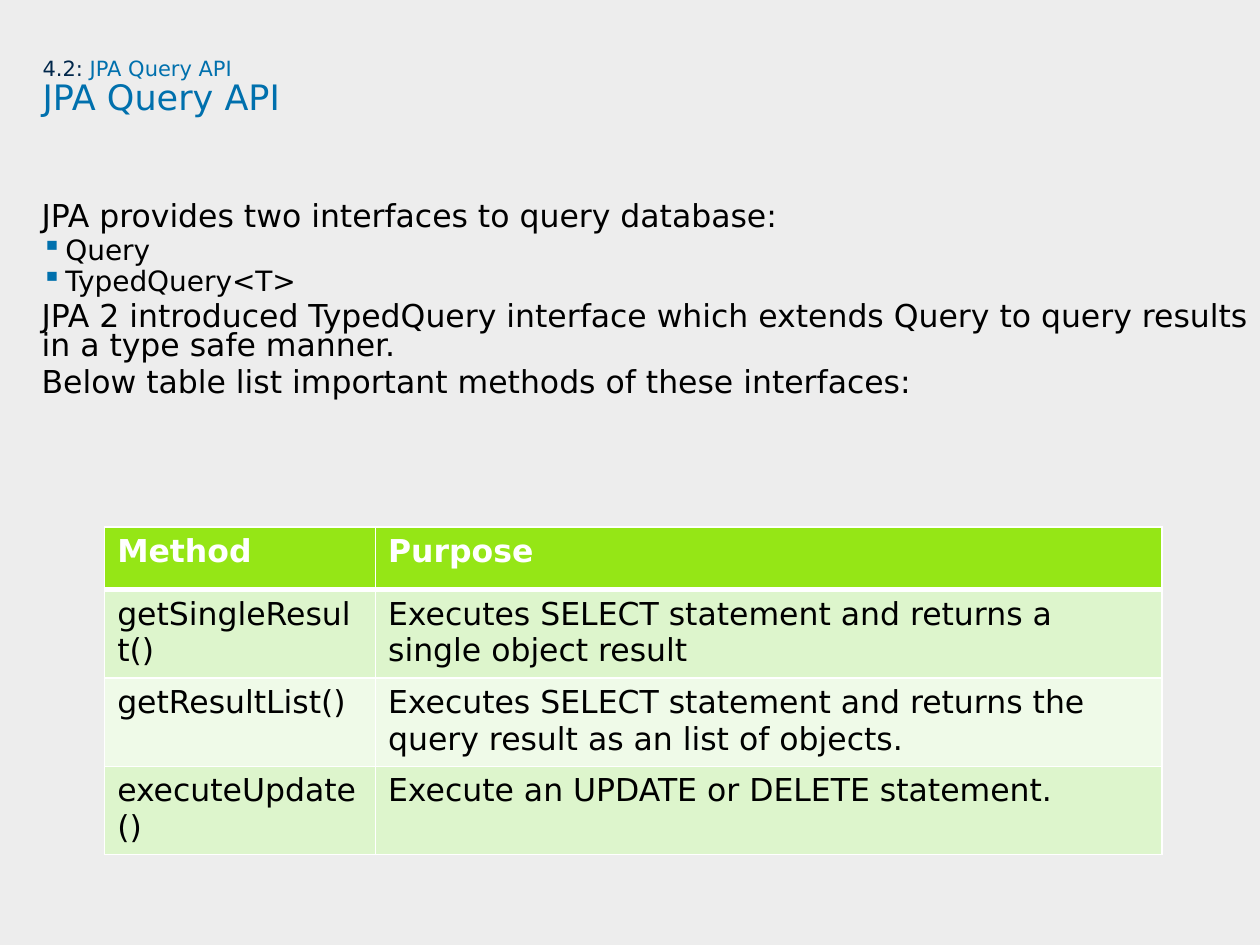
from lxml import etree
from pptx import Presentation
from pptx import util as u
from pptx.dml.color import RGBColor
from pptx.enum import text
from pptx.oxml.ns import qn

FONT = "DejaVu Sans"
BACKGROUND = RGBColor(0xED, 0xED, 0xED)
NAVY = RGBColor(0x00, 0x26, 0x4A)
BLUE = RGBColor(0x00, 0x70, 0xAD)
BLACK = RGBColor(0x00, 0x00, 0x00)
WHITE = RGBColor(0xFF, 0xFF, 0xFF)
HEADER_GREEN = RGBColor(0x95, 0xE6, 0x16)
BAND_GREENS = [RGBColor(0xEF, 0xFA, 0xE8), RGBColor(0xDD, 0xF5, 0xCC)]


def add_text_frame(left, top, width, height):
    """Add a wrapping text box without insets and return its text frame."""
    box = slide.shapes.add_textbox(u.Cm(left), u.Cm(top), u.Cm(width), u.Cm(height))
    frame = box.text_frame
    frame.word_wrap = True
    frame.vertical_anchor = text.MSO_ANCHOR.TOP
    frame.margin_left = frame.margin_top = frame.margin_right = frame.margin_bottom = 0
    return frame


def format_font(font, size, color, bold=False):
    font.name = FONT
    font.size = u.Pt(size)
    font.color.rgb = color
    font.bold = bold


presentation = Presentation()
presentation.slide_width = u.Cm(25.4)
presentation.slide_height = u.Cm(19.05)
slide = presentation.slides.add_slide(presentation.slide_layouts[6])
slide.background.fill.solid()
slide.background.fill.fore_color.rgb = BACKGROUND

# Title: section number and name above the slide heading
title = add_text_frame(0.86, 1.17, 23.09, 2.39).paragraphs[0]
title.line_spacing = 0.9
title.text = "4.2: "
title.add_run().text = "JPA Query API"
title.add_line_break()
title.add_run().text = "JPA Query API"
for run, size, color in zip(title.runs, [12, 12, 20], [NAVY, BLUE, BLUE]):
    format_font(run.font, size, color)

# Body: plain statements and bulleted interface names
BODY = [
    ("JPA provides two interfaces to query database:", False),
    ("Query", True),
    ("TypedQuery<T>", True),
    ("JPA 2 introduced TypedQuery interface which extends Query to query results "
     "in a type safe manner.", False),
    ("Below table list important methods of these interfaces:", False),
]
body = add_text_frame(0.84, 4.14, 24.56, 12.9)
for index, (line, bulleted) in enumerate(BODY):
    paragraph = body.add_paragraph() if index else body.paragraphs[0]
    paragraph.text = line
    paragraph.line_spacing = u.Pt(13.5 if bulleted else 16.5)
    paragraph.space_after = u.Pt(4.5)
    if bulleted:
        paragraph.level = 1
        properties = paragraph._p.get_or_add_pPr()
        properties.set("marL", str(u.Cm(0.48)))
        properties.set("indent", str(-u.Cm(0.48)))
        bullet_color = etree.SubElement(properties, qn("a:buClr"))
        etree.SubElement(bullet_color, qn("a:srgbClr"), val=str(BLUE))
        etree.SubElement(properties, qn("a:buChar"), char="▪")
    format_font(paragraph.runs[0].font, 16 if bulleted else 18, BLACK)

# Table of query methods
METHODS = [
    ("Method", "Purpose"),
    ("getSingleResult()", "Executes SELECT statement and returns a single object result"),
    ("getResultList()",
     "Executes SELECT statement and returns the query result as an list of objects."),
    ("executeUpdate()", "Execute an UPDATE or DELETE statement."),
]
COLUMN_WIDTHS = [5.46, 15.85]
ROW_HEIGHT = 1.27
table = slide.shapes.add_table(
    len(METHODS), len(COLUMN_WIDTHS), u.Cm(2.11), u.Cm(10.62),
    u.Cm(sum(COLUMN_WIDTHS)), u.Cm(ROW_HEIGHT * len(METHODS))).table
for column, width in zip(table.columns, COLUMN_WIDTHS):
    column.width = u.Cm(width)

for row_index, row in enumerate(METHODS):
    is_header = row_index == 0
    table.rows[row_index].height = u.Cm(ROW_HEIGHT)
    border_widths = {"L": 1, "R": 1, "T": 3 if row_index == 1 else 1, "B": 3 if is_header else 1}
    for column_index, content in enumerate(row):
        cell = table.cell(row_index, column_index)
        cell.text = content
        format_font(cell.text_frame.paragraphs[0].runs[0].font, 18,
                    WHITE if is_header else BLACK, is_header)
        cell_properties = cell._tc.get_or_add_tcPr()
        for side, width in border_widths.items():
            border = etree.SubElement(cell_properties, qn(f"a:ln{side}"), w=str(u.Pt(width)))
            border_fill = etree.SubElement(border, qn("a:solidFill"))
            etree.SubElement(border_fill, qn("a:srgbClr"), val=str(WHITE))
        cell.fill.solid()
        cell.fill.fore_color.rgb = HEADER_GREEN if is_header else BAND_GREENS[row_index % 2]

presentation.save("out.pptx")
